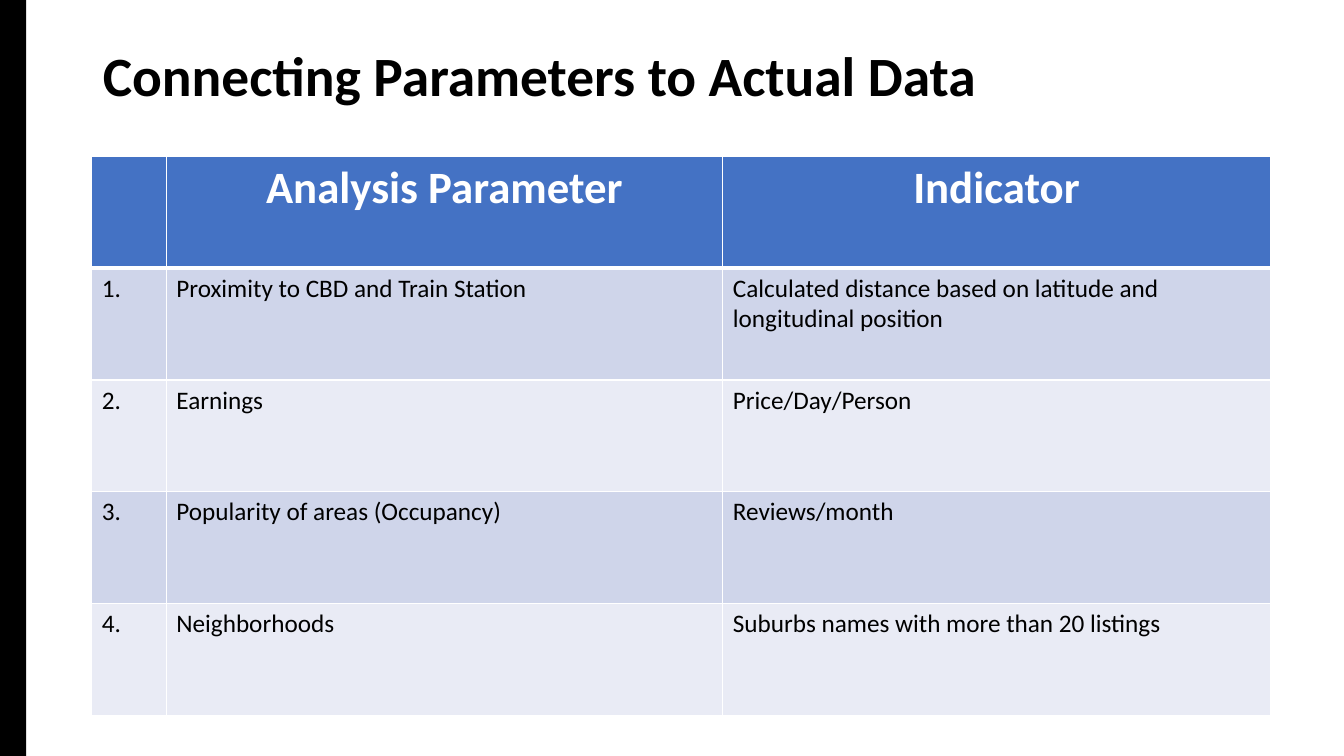
from lxml import etree
from pptx import Presentation
from pptx.dml.color import RGBColor
from pptx.enum.shapes import MSO_SHAPE
from pptx.enum.text import MSO_ANCHOR, PP_ALIGN
from pptx.oxml.ns import qn
from pptx.util import Inches, Pt

RECT = MSO_SHAPE.RECTANGLE
MIDDLE = MSO_ANCHOR.MIDDLE
LEFT, CENTER = PP_ALIGN.LEFT, PP_ALIGN.CENTER

COLORS = {
    "black": "000000",
    "white": "FFFFFF",
    "header": "4472C4",
    "odd": "CFD5EA",
    "even": "E9EBF5",
}
TITLE_ONLY = 5
ROWS = [
    ("", "Analysis Parameter", "Indicator"),
    ("1.", "Proximity to CBD and Train Station",
     "Calculated distance based on latitude and longitudinal position"),
    ("2.", "Earnings", "Price/Day/Person"),
    ("3.", "Popularity of areas (Occupancy)", "Reviews/month"),
    ("4.", "Neighborhoods", "Suburbs names with more than 20 listings"),
]
COL_WIDTHS = (0.74, 5.52, 5.43)
ROW_HEIGHT = 1.11


class SlideBuilder:
    """Draws styled elements on the current slide."""

    font = "Calibri"

    def __init__(self, prs):
        self.slide = prs.slides.add_slide(prs.slide_layouts[TITLE_ONLY])

    def color(self, name):
        return RGBColor.from_string(COLORS[name])

    def style(self, p, size, color, bold=False, align=LEFT):
        p.alignment = align
        p.font.name = self.font
        p.font.size = Pt(size)
        p.font.bold = bold
        p.font.color.rgb = self.color(color)

    def title(self, text, x, y, w, h):
        sp = self.slide.shapes.title
        sp.left, sp.top, sp.width, sp.height = map(Inches, (x, y, w, h))
        tf = sp.text_frame
        tf.text = text
        tf.word_wrap = True
        tf.vertical_anchor = MIDDLE
        p = tf.paragraphs[0]
        p.line_spacing = 0.9
        self.style(p, 39.6, "black", bold=True)

    def bar(self, x, y, w, h):
        sp = self.slide.shapes.add_shape(RECT, *map(Inches, (x, y, w, h)))
        sp.shadow.inherit = False
        sp.fill.solid()
        sp.fill.fore_color.rgb = self.color("black")
        sp.line.fill.background()
        self.slide.shapes.title.element.addprevious(sp.element)

    def borders(self, cell, top, bottom):
        tc_pr = cell._tc.get_or_add_tcPr()
        widths = {"L": 1, "R": 1, "T": top, "B": bottom}
        for i, (side, width) in enumerate(widths.items()):
            ln = etree.Element(qn(f"a:ln{side}"), w=str(Pt(width)))
            fill = etree.SubElement(ln, qn("a:solidFill"))
            etree.SubElement(fill, qn("a:srgbClr"), val=COLORS["white"])
            tc_pr.insert(i, ln)

    def table(self, rows, x, y, col_widths, row_height):
        frame = self.slide.shapes.add_table(
            len(rows), len(col_widths), Inches(x), Inches(y),
            Inches(sum(col_widths)), Inches(row_height * len(rows)))
        table = frame.table
        for col, width in zip(table.columns, col_widths):
            col.width = Inches(width)
        for r, texts in enumerate(rows):
            table.rows[r].height = Inches(row_height)
            fill = "header" if r == 0 else "odd" if r % 2 else "even"
            for c, text in enumerate(texts):
                cell = table.cell(r, c)
                cell.text = text
                cell.fill.solid()
                cell.fill.fore_color.rgb = self.color(fill)
                self.borders(cell, 3 if r == 1 else 1, 3 if r == 0 else 1)
                p = cell.text_frame.paragraphs[0]
                if r == 0:
                    self.style(p, 32, "white", bold=True, align=CENTER)
                else:
                    self.style(p, 18, "black")


def main():
    prs = Presentation()
    prs.slide_width, prs.slide_height = Inches(13.33), Inches(7.5)
    s = SlideBuilder(prs)
    s.bar(-0.13, 0, 0.39, 7.5)
    s.title("Connecting Parameters to Actual Data", 0.92, 0.4, 11.5, 0.75)
    s.table(ROWS, 0.91, 1.55, COL_WIDTHS, ROW_HEIGHT)
    prs.save("out.pptx")


if __name__ == "__main__":
    main()
